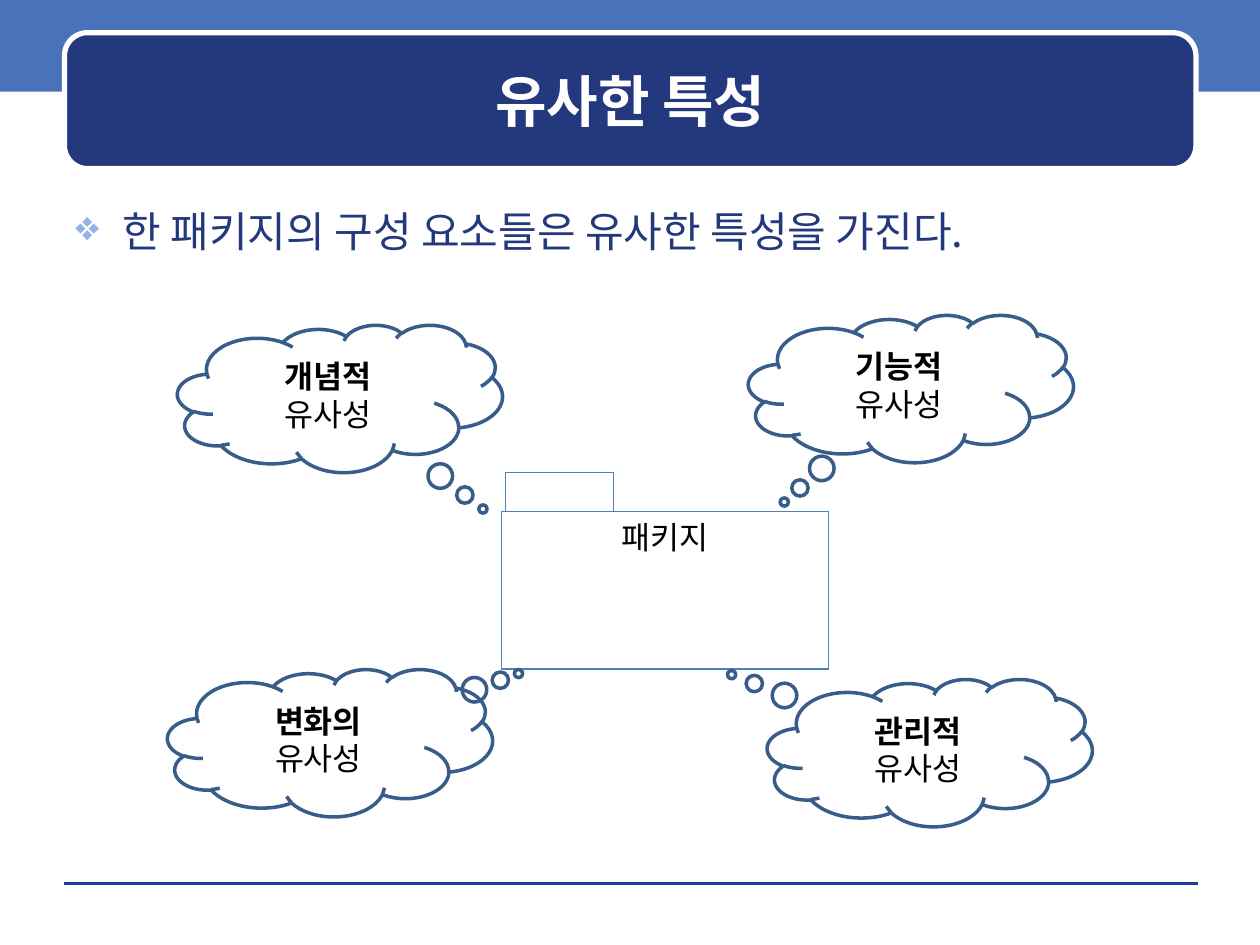
from lxml.etree import SubElement
from pptx import Presentation
from pptx.dml.color import RGBColor
from pptx.enum.shapes import MSO_CONNECTOR, MSO_SHAPE
from pptx.enum.text import MSO_ANCHOR, PP_ALIGN
from pptx.oxml.ns import qn
from pptx.util import Cm, Pt

FONT = "Noto Sans CJK KR"
NAVY, BLUE, WHITE, BLACK = "23387D", "4972BB", "FFFFFF", "000000"
PACKAGE_LINE, CLOUD_LINE, RULE, BULLET = "4F81BD", "385D8A", "1A3D97", "96B1E6"

TITLE = "유사한 특성"
STATEMENT = "한 패키지의 구성 요소들은 유사한 특성을 가진다."
PACKAGE = "패키지"
SIMILARITY = "유사성"
CLOUD_SIZE = (6.55, 2.97)
CLOUDS = [
    ("개념적", (3.58, 6.55), (0.44, 0.75)),
    ("변화의", (3.38, 13.49), (0.58, -0.47)),
    ("기능적", (15.09, 6.35), (-0.39, 0.77)),
    ("관리적", (15.47, 13.69), (-0.61, -0.53)),
]

TITLE_FORMAT = {"size": Pt(32), "bold": True}
STATEMENT_FORMAT = {"size": Pt(24), "bold": False}
LABEL_FORMAT = {"size": Pt(18), "bold": False}
KIND_FORMAT = {"size": Pt(18), "bold": True}


def rgb(value):
    return RGBColor.from_string(value)


def add_box(parent, kind, box, fill=None, line=None, width=0.75, adjust=()):
    sp = parent.add_shape(kind, *map(Cm, box))
    sp.shadow.inherit = False
    if fill:
        sp.fill.solid()
        sp.fill.fore_color.rgb = rgb(fill)
    else:
        sp.fill.background()
    if line:
        sp.line.color.rgb = rgb(line)
        sp.line.width = Pt(width)
    else:
        sp.line.fill.background()
    for i, value in enumerate(adjust):
        sp.adjustments[i] = value
    return sp


def write(sp, lines, color, align=PP_ALIGN.CENTER, anchor=MSO_ANCHOR.MIDDLE):
    tf = sp.text_frame
    tf.word_wrap = True
    tf.vertical_anchor = anchor
    for i, (text, fmt) in enumerate(lines):
        p = tf.add_paragraph() if i else tf.paragraphs[0]
        p.alignment = align
        r = p.add_run()
        r.text = text
        r.font.name = FONT
        for name, value in fmt.items():
            setattr(r.font, name, value)
        r.font.color.rgb = rgb(color)
        SubElement(r.font._element, qn("a:ea"), typeface=FONT)
    return tf


def add_bullet(p, char, color, indent):
    pPr = p._p.get_or_add_pPr()
    pPr.set("marL", str(Cm(indent)))
    pPr.set("indent", str(-Cm(indent)))
    SubElement(SubElement(pPr, qn("a:buClr")), qn("a:srgbClr"), val=color)
    SubElement(pPr, qn("a:buChar"), char=char)


prs = Presentation()
prs.slide_width, prs.slide_height = Cm(25.4), Cm(19.05)
s = prs.slides.add_slide(prs.slide_layouts[6])
shapes = s.shapes

add_box(shapes, MSO_SHAPE.RECTANGLE, (0, 0, 25.4, 1.85), fill=BLUE)
rule = shapes.add_connector(MSO_CONNECTOR.STRAIGHT, Cm(1.3), Cm(17.81), Cm(24.16), Cm(17.81))
rule.line.color.rgb = rgb(RULE)
rule.line.width = Pt(0)
SubElement(rule._element.spPr, qn("a:effectLst"))
add_box(shapes, MSO_SHAPE.ROUNDED_RECTANGLE, (1.3, 0.66, 22.81, 2.74), NAVY, WHITE, 3, [0.17])

title = shapes.add_textbox(*map(Cm, (1.52, 0.89, 22.38, 2.24)))
write(title, [(TITLE, TITLE_FORMAT)], WHITE)

body = shapes.add_textbox(*map(Cm, (1.27, 4.01, 22.86, 13.54)))
tf = write(body, [(STATEMENT, STATEMENT_FORMAT)], NAVY, PP_ALIGN.LEFT, MSO_ANCHOR.TOP)
add_bullet(tf.paragraphs[0], "❖", BULLET, 0.95)

package = shapes.add_group_shape().shapes
folder = add_box(package, MSO_SHAPE.RECTANGLE, (10.11, 10.31, 6.6, 3.18), line=PACKAGE_LINE)
write(folder, [(PACKAGE, LABEL_FORMAT)], BLACK, anchor=MSO_ANCHOR.TOP)
add_box(package, MSO_SHAPE.RECTANGLE, (10.19, 9.53, 2.18, 0.79), line=PACKAGE_LINE)

for kind, place, tail in CLOUDS:
    cloud = add_box(shapes, MSO_SHAPE.CLOUD_CALLOUT, place + CLOUD_SIZE,
                    line=CLOUD_LINE, width=2, adjust=tail)
    write(cloud, [(kind, KIND_FORMAT), (SIMILARITY, LABEL_FORMAT)], BLACK)

prs.save("out.pptx")
